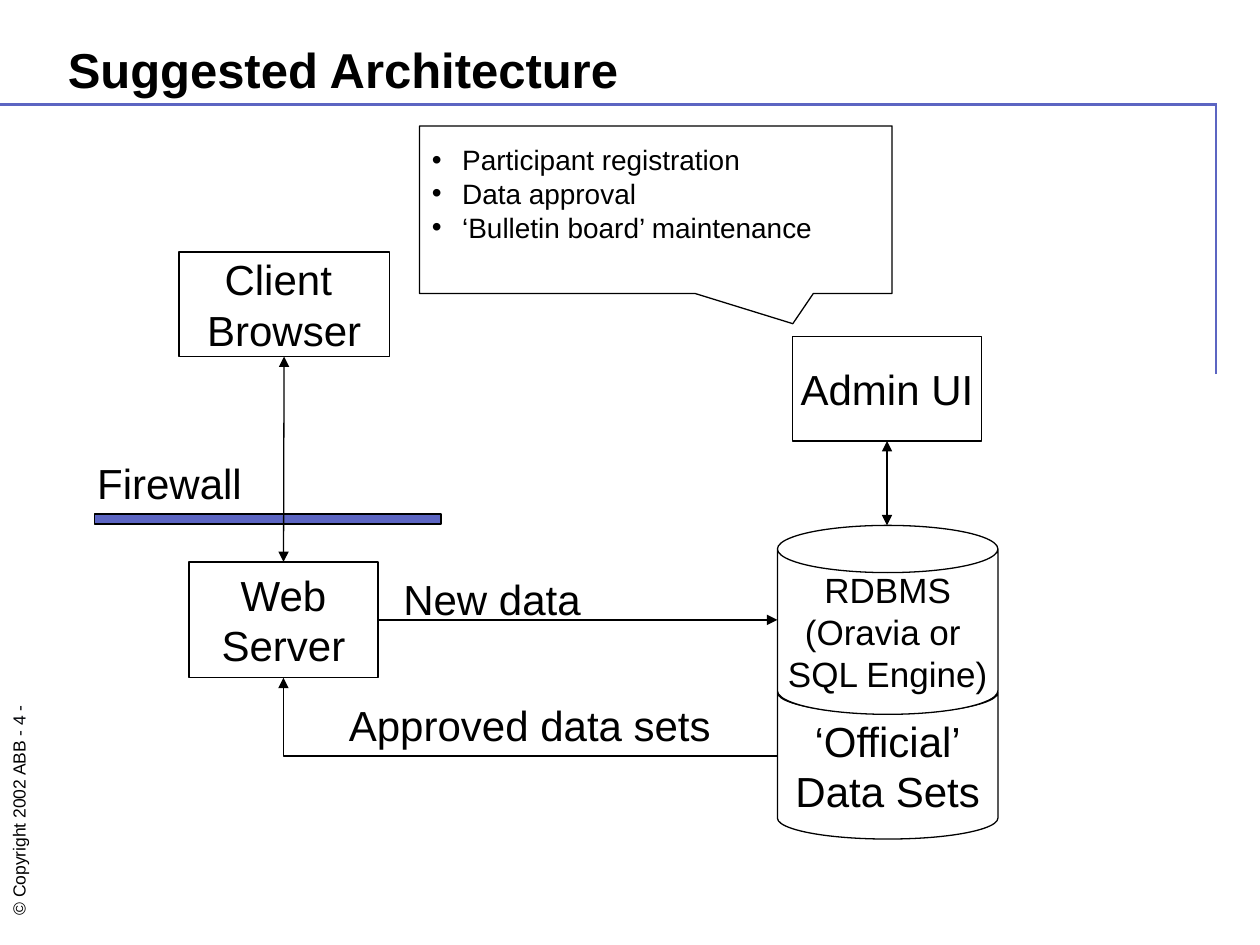
from dataclasses import dataclass

from lxml import etree
from pptx import Presentation
from pptx.dml.color import RGBColor
from pptx.enum.shapes import MSO_CONNECTOR, MSO_SHAPE
from pptx.enum.text import MSO_ANCHOR, PP_ALIGN
from pptx.oxml.ns import qn
from pptx.util import Inches, Pt

RECTANGLE = MSO_SHAPE.RECTANGLE
CAN = MSO_SHAPE.CAN
CALLOUT = MSO_SHAPE.RECTANGULAR_CALLOUT
STRAIGHT = MSO_CONNECTOR.STRAIGHT
ELBOW = MSO_CONNECTOR.ELBOW
LEFT, CENTER = PP_ALIGN.LEFT, PP_ALIGN.CENTER
TOP, MIDDLE, BOTTOM = MSO_ANCHOR.TOP, MSO_ANCHOR.MIDDLE, MSO_ANCHOR.BOTTOM
SITE_TOP, SITE_LEFT, SITE_BOTTOM, SITE_RIGHT = range(4)


@dataclass(frozen=True)
class Theme:
    font: str = "Arial"
    ink: RGBColor = RGBColor(0, 0, 0)
    page_number: RGBColor = RGBColor(0x01, 0x03, 0x07)
    paper: RGBColor = RGBColor(0xFF, 0xFF, 0xFF)
    accent: RGBColor = RGBColor(0x5C, 0x65, 0xC2)
    title: int = 28
    label: int = 24
    database: int = 20
    note: int = 16
    footer: int = 10
    outline: float = 0.75
    rule: float = 1.5


THEME = Theme()


def set_text(shape, text, size, alignment=CENTER, anchor=MIDDLE, wrap=False, bold=False):
    """Fill a shape with one paragraph per line of text."""
    frame = shape.text_frame
    frame.text = text
    frame.word_wrap = wrap
    frame.vertical_anchor = anchor
    for paragraph in frame.paragraphs:
        paragraph.alignment = alignment
        for run in paragraph.runs:
            run.font.name = THEME.font
            run.font.size = Pt(size)
            run.font.bold = bold
            run.font.color.rgb = THEME.ink


def add_label(slide, box, text, size=THEME.label, **layout):
    shape = slide.shapes.add_textbox(*map(Inches, box))
    set_text(shape, text, size, **layout)
    return shape


def add_node(slide, kind, box, text="", size=THEME.label, fill=THEME.paper, **layout):
    shape = slide.shapes.add_shape(kind, *map(Inches, box))
    shape.shadow.inherit = False
    shape.fill.solid()
    shape.fill.fore_color.rgb = fill
    shape.line.color.rgb = THEME.ink
    shape.line.width = Pt(THEME.outline)
    if text:
        set_text(shape, text, size, **layout)
    return shape


def add_line(slide, start, end, kind=STRAIGHT, color=THEME.ink, width=THEME.outline,
             arrows=(), begin=None, finish=None):
    """Draw a connector; begin and finish are (shape, site) pairs to join."""
    connector = slide.shapes.add_connector(kind, *map(Inches, (*start, *end)))
    connector.line.color.rgb = color
    connector.line.width = Pt(width)
    if begin:
        connector.begin_connect(*begin)
    if finish:
        connector.end_connect(*finish)
    properties = connector._element.spPr
    line = properties.find(qn("a:ln"))
    for arrow in arrows:
        etree.SubElement(line, qn(f"a:{arrow}"), type="triangle")
    etree.SubElement(properties, qn("a:effectLst"))
    return connector


def add_bullets(shape, indent):
    for paragraph in shape.text_frame.paragraphs:
        properties = paragraph._p.get_or_add_pPr()
        properties.set("marL", str(Inches(indent)))
        properties.set("indent", str(-Inches(indent)))
        etree.SubElement(properties, qn("a:buFont"), typeface=THEME.font)
        etree.SubElement(properties, qn("a:buChar"), char="•")


def add_frame(slide):
    # Copyright line up the left edge
    footer = add_label(slide, (-0.74, 6.17, 1.95, 0.44), "© Copyright 2002 ABB ",
                       THEME.footer, alignment=LEFT, anchor=TOP, wrap=True)
    footer.rotation = 270
    number = footer.text_frame.paragraphs[0].add_run()
    number.text = "- 4 -"
    number.font.name = THEME.font
    number.font.size = Pt(THEME.footer)
    number.font.color.rgb = THEME.page_number

    # Title and its corner rule
    for start, end in (((0, 0.83), (9.66, 0.83)), ((9.65, 2.97), (9.65, 0.83))):
        add_line(slide, start, end, color=THEME.accent, width=THEME.rule)
    add_label(slide, (0.44, 0.25, 8.5, 0.58), "Suggested Architecture", THEME.title,
              alignment=LEFT, anchor=BOTTOM, wrap=True, bold=True)


def add_architecture(slide):
    # Boxes and databases
    admin = add_node(slide, RECTANGLE, (6.29, 2.67, 1.5, 0.83), "Admin UI")
    server = add_node(slide, RECTANGLE, (1.5, 4.46, 1.5, 0.92), "Web\nServer")
    add_node(slide, RECTANGLE, (0.75, 4.08, 2.75, 0.08), fill=THEME.accent)
    client = add_node(slide, RECTANGLE, (1.42, 2, 1.67, 0.83), "Client \nBrowser")
    add_node(slide, CAN, (6.17, 5.33, 1.75, 1.33), "‘Official’\nData Sets")
    add_node(slide, CAN, (6.17, 4.17, 1.75, 1.5),
             "RDBMS\n(Oravia or \nSQL Engine)", THEME.database)

    # Data flows
    both_ends = ("headEnd", "tailEnd")
    add_line(slide, (7.04, 3.5), (7.04, 4.17), arrows=both_ends,
             begin=(admin, SITE_BOTTOM))
    add_line(slide, (2.25, 4.46), (2.25, 2.83), arrows=both_ends,
             begin=(server, SITE_TOP), finish=(client, SITE_BOTTOM))
    add_line(slide, (3, 4.92), (6.17, 4.92), arrows=("tailEnd",),
             begin=(server, SITE_RIGHT))
    approved = add_line(slide, (6.17, 6), (2.25, 5.38), kind=ELBOW, arrows=("tailEnd",))
    # One bend only: left, then up into the server
    approved._element.spPr.find(qn("a:prstGeom")).set("prst", "bentConnector2")

    # Labels
    for box, text in (((0.67, 3.58, 1.35, 0.5), "Firewall"),
                      ((3.1, 4.5, 1.61, 0.5), "New data"),
                      ((2.67, 5.5, 3.07, 0.5), "Approved data sets")):
        add_label(slide, box, text, anchor=TOP)

    # Callout on the admin tasks
    callout = add_node(slide, CALLOUT, (3.33, 1, 3.75, 1.33),
                       "Participant registration\nData approval\n‘Bulletin board’ maintenance",
                       THEME.note, alignment=LEFT, wrap=True)
    callout.adjustments[0] = 0.29
    callout.adjustments[1] = 0.68
    callout.text_frame.margin_bottom = Inches(0.31)
    add_bullets(callout, 0.24)


def main():
    presentation = Presentation()
    presentation.slide_width = Inches(10)
    presentation.slide_height = Inches(7.5)
    slide = presentation.slides.add_slide(presentation.slide_layouts[6])
    add_frame(slide)
    add_architecture(slide)
    presentation.save("out.pptx")


if __name__ == "__main__":
    main()
